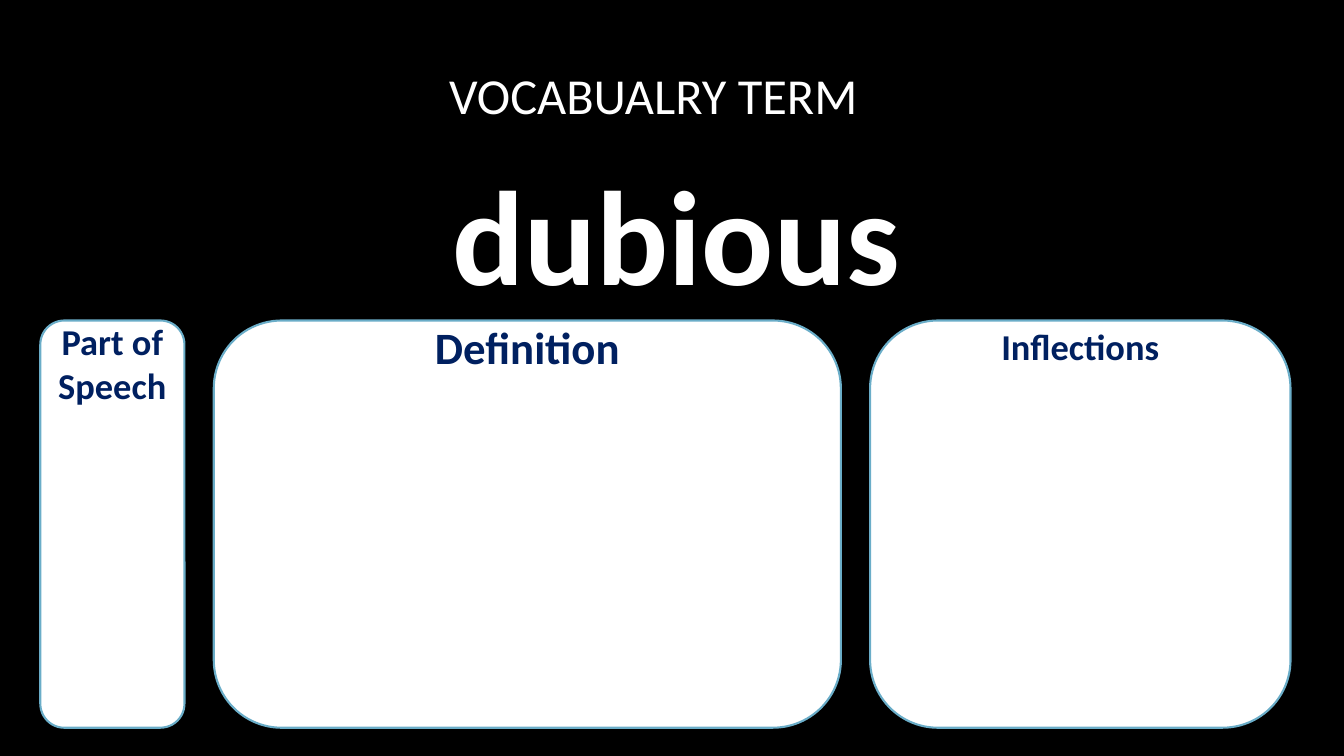
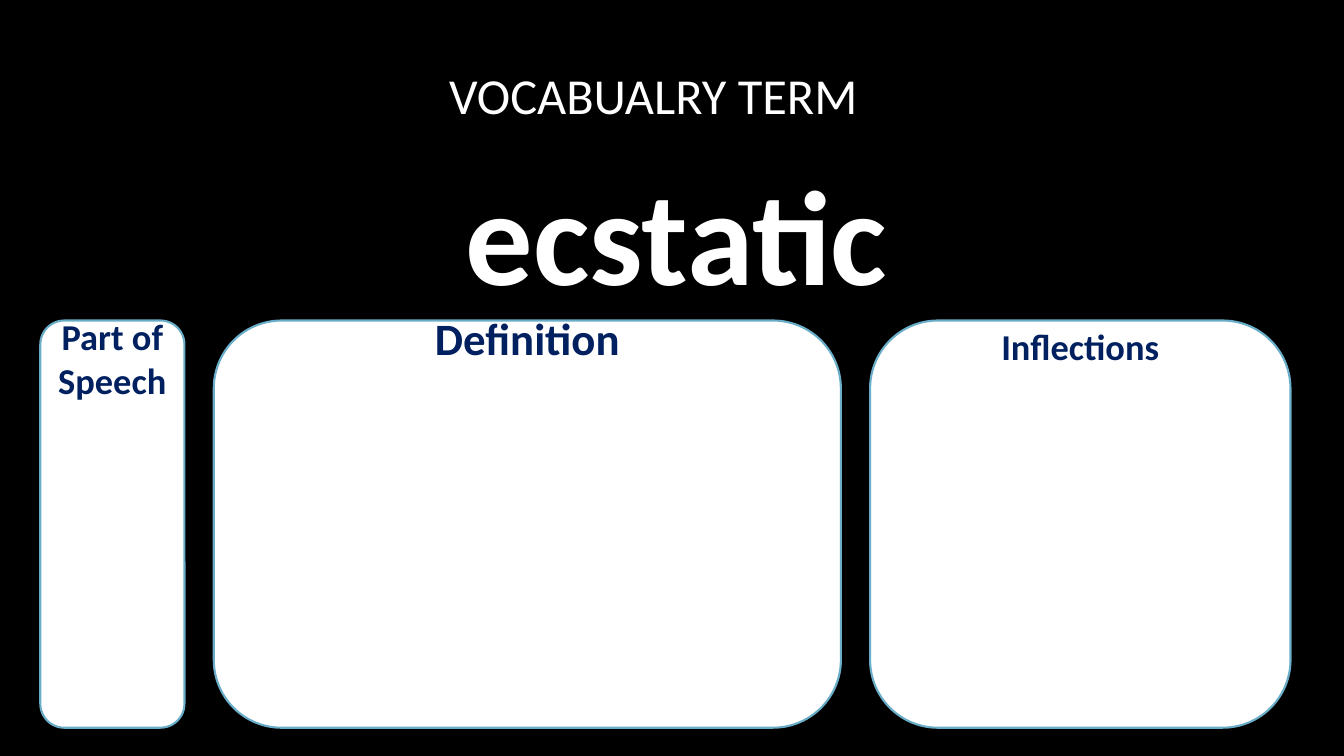
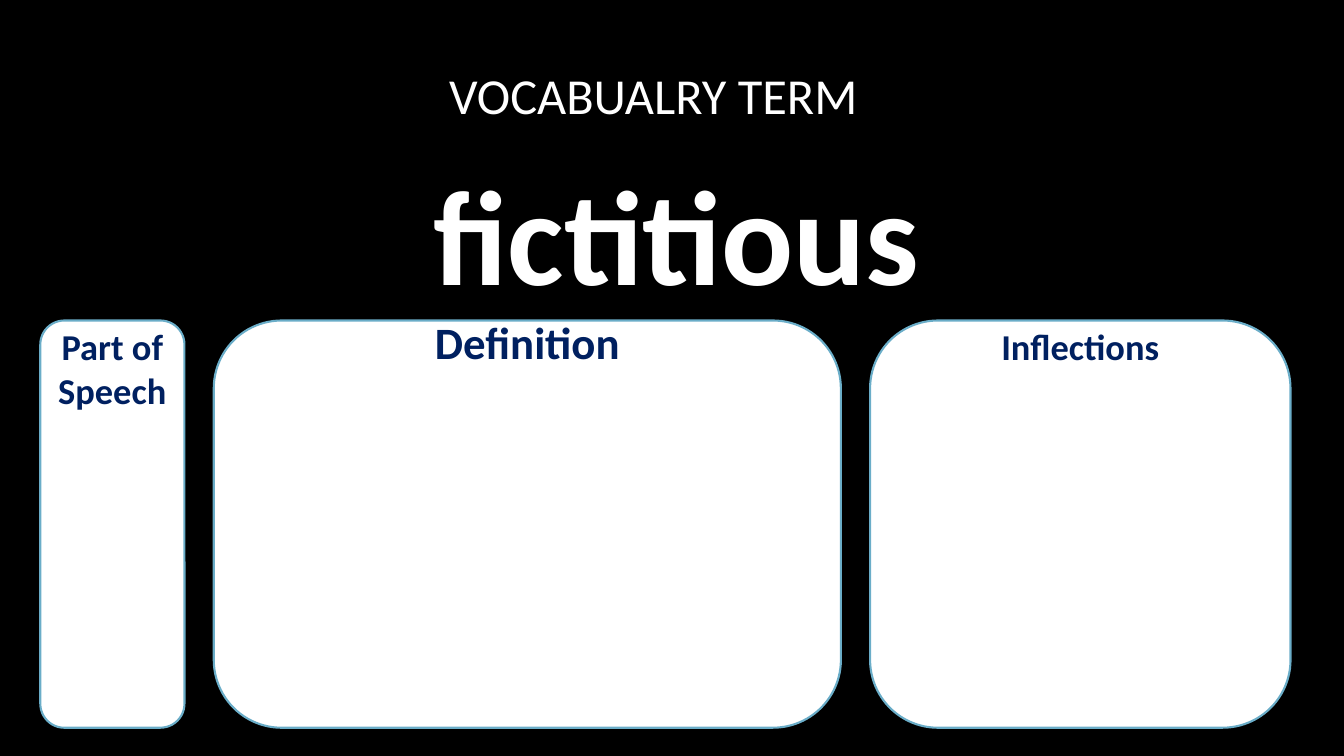
"""Build three vocabulary slides with blank cards for each term."""
from dataclasses import dataclass

from pptx import Presentation
from pptx.dml.color import RGBColor
from pptx.enum.shapes import MSO_SHAPE
from pptx.enum.text import MSO_ANCHOR, PP_ALIGN
from pptx.util import Inches, Pt

COLORS = {"background": "000000", "white": "FFFFFF", "border": "6AADC8", "heading": "002060"}
FONT = "Calibri"
TITLE = "VOCABUALRY TERM"
TEXT_LEFT, TEXT_WIDTH = 1.17, 11.08
CARD_TOP, CARD_HEIGHT = 3.18, 4.04


@dataclass(frozen=True)
class Card:
    """A rounded panel and the size of its heading."""
    heading: str
    left: float
    width: float
    size: int


@dataclass(frozen=True)
class Term:
    """A vocabulary word and the top of each card heading."""
    word: str
    heading_tops: tuple[float, float, float]


CARDS = (
    Card("Part of Speech", 0.4, 1.43, 26),
    Card("Definition", 2.12, 6.22, 32),
    Card("Inflections", 8.63, 4.17, 26),
)
TERMS = (
    Term("dubious", (3.17, 3.17, 3.22)),
    Term("ecstatic", (3.12, 3.08, 3.22)),
    Term("fictitious", (3.22, 3.12, 3.22)),
)


def color(name: str) -> RGBColor:
    """Return a palette colour."""
    return RGBColor.from_string(COLORS[name])


def add_text(s, text: str, left: float, top: float, width: float, height: float, size: int,
             tint: str, bold: bool = False, anchor=MSO_ANCHOR.MIDDLE,
             right_inset: float = 0) -> None:
    """Add one centred paragraph."""
    tf = s.shapes.add_textbox(Inches(left), Inches(top), Inches(width), Inches(height)).text_frame
    tf.word_wrap = True
    tf.vertical_anchor = anchor
    tf.margin_left = tf.margin_top = tf.margin_bottom = 0
    tf.margin_right = Inches(right_inset)
    p = tf.paragraphs[0]
    p.text = text
    p.alignment = PP_ALIGN.CENTER
    p.font.name = FONT
    p.font.size = Pt(size)
    p.font.bold = bold
    p.font.color.rgb = color(tint)


def add_card(s, card: Card, heading_top: float) -> None:
    """Add a rounded panel with its heading."""
    sp = s.shapes.add_shape(MSO_SHAPE.ROUNDED_RECTANGLE, Inches(card.left), Inches(CARD_TOP),
                            Inches(card.width), Inches(CARD_HEIGHT))
    sp.shadow.inherit = False
    sp.fill.solid()
    sp.fill.fore_color.rgb = color("white")
    sp.line.color.rgb = color("border")
    sp.line.width = Pt(1.5)
    add_text(s, card.heading, card.left, heading_top, card.width, 1, card.size, "heading",
             bold=True, anchor=MSO_ANCHOR.TOP)


def add_term_slide(prs, term: Term) -> None:
    """Add the slide for one vocabulary word."""
    s = prs.slides.add_slide(prs.slide_layouts[6])
    s.background.fill.solid()
    s.background.fill.fore_color.rgb = color("background")
    add_text(s, TITLE, TEXT_LEFT, 0.46, TEXT_WIDTH, 0.96, 36, "white", right_inset=0.46)
    add_text(s, term.word, TEXT_LEFT, 1.42, TEXT_WIDTH, 1.76, 96, "white", bold=True)
    for card, heading_top in zip(CARDS, term.heading_tops):
        add_card(s, card, heading_top)


def main() -> None:
    """Build and save the presentation."""
    prs = Presentation()
    prs.slide_width, prs.slide_height = Inches(13.33), Inches(7.5)
    for term in TERMS:
        add_term_slide(prs, term)
    prs.save("out.pptx")


if __name__ == "__main__":
    main()
